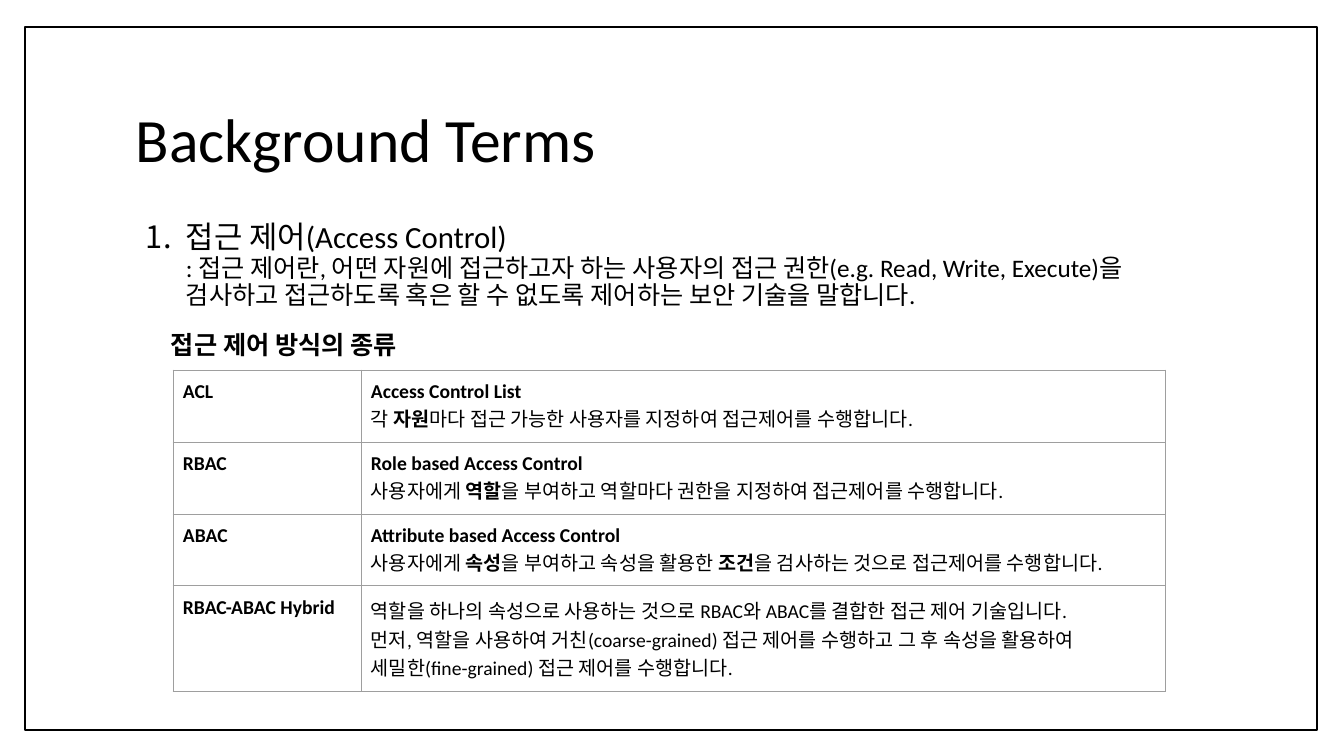
from lxml.etree import SubElement
from pptx import Presentation
from pptx.dml.color import RGBColor
from pptx.enum.shapes import MSO_SHAPE as Shape
from pptx.enum.text import MSO_ANCHOR as Anchor
from pptx.oxml.ns import qn
from pptx.util import Pt

PX = 914400 / 100.8
BLACK = RGBColor(0x00, 0x00, 0x00)
WHITE = RGBColor(0xFF, 0xFF, 0xFF)
BORDER_GRAY = RGBColor(0x9E, 0x9E, 0x9E)


def px(*lengths):
    return [round(length * PX) for length in lengths]


def add_runs(paragraph, text, size):
    """Add text to the paragraph, with the parts between ** in bold."""
    for index, part in enumerate(text.split("**")):
        if part:
            run = paragraph.add_run()
            run.text = part
            run.font.name = "Calibri"
            run.font.size = Pt(size)
            run.font.bold = index % 2 == 1
            run.font.color.rgb = BLACK


presentation = Presentation()
presentation.slide_width, presentation.slide_height = px(1344, 756)
slide = presentation.slides.add_slide(presentation.slide_layouts[6])

# Page frame
frame = slide.shapes.add_shape(Shape.RECTANGLE, *px(25, 27, 1292, 703))
frame.shadow.inherit = False
frame.fill.solid()
frame.fill.fore_color.rgb = WHITE
frame.line.color.rgb = BLACK
frame.line.width = Pt(1)

# Title
title = slide.shapes.add_textbox(*px(126, 68, 1089, 149)).text_frame
title.word_wrap = True
title.vertical_anchor = Anchor.MIDDLE
title.paragraphs[0].line_spacing = 0.9
add_runs(title.paragraphs[0], "Background Terms", 44)

# Numbered definition
definition = slide.shapes.add_textbox(*px(126, 217, 1089, 445)).text_frame
definition.word_wrap = True
paragraph = definition.paragraphs[0]
paragraph.line_spacing = 0.9
paragraph.space_before = Pt(10)
add_runs(paragraph, "접근 제어(Access Control)", 22)
paragraph.add_line_break()
add_runs(
    paragraph,
    ": 접근 제어란, 어떤 자원에 접근하고자 하는 사용자의 접근 권한(e.g. Read, Write, Execute)을 "
    "검사하고 접근하도록 혹은 할 수 없도록 제어하는 보안 기술을 말합니다.",
    18,
)
properties = paragraph._p.get_or_add_pPr()
margin, indent = px(50, -40)
properties.set("marL", str(margin))
properties.set("indent", str(indent))
bullet_color = SubElement(properties, qn("a:buClr"))
SubElement(bullet_color, qn("a:srgbClr"), val=str(BLACK))
SubElement(properties, qn("a:buFont"), typeface="Calibri")
SubElement(properties, qn("a:buAutoNum"), type="arabicPeriod")

# Table of access control methods
METHODS = [
    ("ACL", ["**Access Control List**",
             "각 **자원**마다 접근 가능한 사용자를 지정하여 접근제어를 수행합니다."]),
    ("RBAC", ["**Role based Access Control**",
              "사용자에게 **역할**을 부여하고 역할마다 권한을 지정하여 접근제어를 수행합니다."]),
    ("ABAC", ["**Attribute based Access Control**",
              "사용자에게 **속성**을 부여하고 속성을 활용한 **조건**을 검사하는 것으로 "
              "접근제어를 수행합니다."]),
    ("RBAC-ABAC Hybrid", [
        "역할을 하나의 속성으로 사용하는 것으로 RBAC와 ABAC를 결합한 접근 제어 기술입니다.",
        "먼저, 역할을 사용하여 거친(coarse-grained) 접근 제어를 수행하고 그 후 속성을 활용하여",
        "세밀한(fine-grained) 접근 제어를 수행합니다."]),
]
table = slide.shapes.add_table(len(METHODS), 2, *px(173, 370, 993, 322)).table
table.first_row = False
table.horz_banding = False
for column, width in zip(table.columns, px(188, 805)):
    column.width = width
for row, height, (name, description) in zip(table.rows, px(72, 72, 72, 106), METHODS):
    row.height = height
    for cell, lines in zip(row.cells, ([f"**{name}**"], description)):
        cell.margin_left, cell.margin_top, cell.margin_right, cell.margin_bottom = px(10, 10, 10, 10)
        for index, line in enumerate(lines):
            text_frame = cell.text_frame
            paragraph = text_frame.add_paragraph() if index else text_frame.paragraphs[0]
            add_runs(paragraph, line, 14)
        cell_properties = cell._tc.get_or_add_tcPr()
        for side in ("a:lnL", "a:lnR", "a:lnT", "a:lnB"):
            border = SubElement(cell_properties, qn(side), w=str(Pt(0.75)))
            border_fill = SubElement(border, qn("a:solidFill"))
            SubElement(border_fill, qn("a:srgbClr"), val=str(BORDER_GRAY))
        cell.fill.background()

# Table heading
heading = slide.shapes.add_textbox(*px(161, 319, 267, 42)).text_frame
heading.word_wrap = True
heading.margin_left, heading.margin_top, heading.margin_right, heading.margin_bottom = px(10, 10, 10, 10)
add_runs(heading.paragraphs[0], "**접근 제어 방식의 종류**", 18)

presentation.save("out.pptx")
